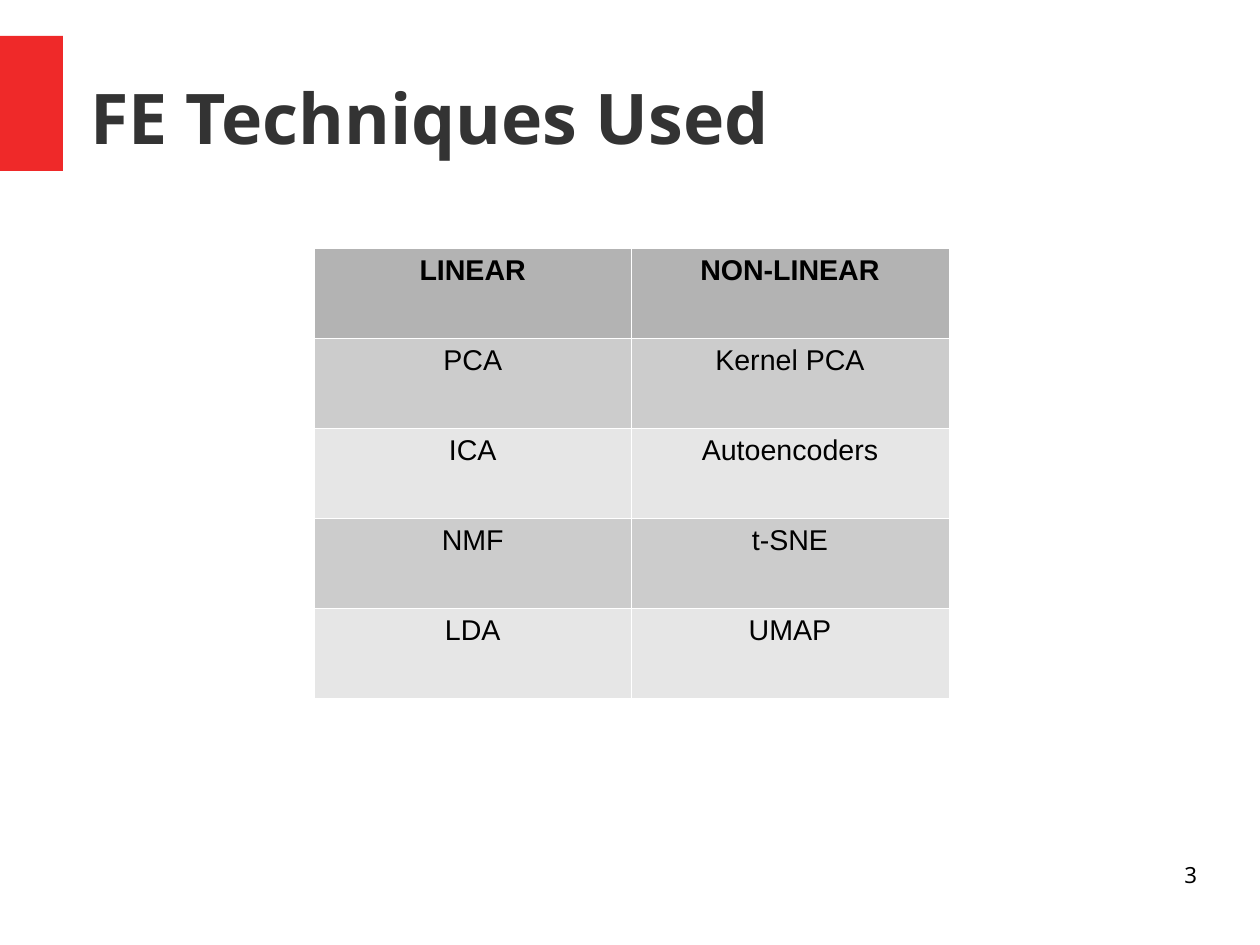
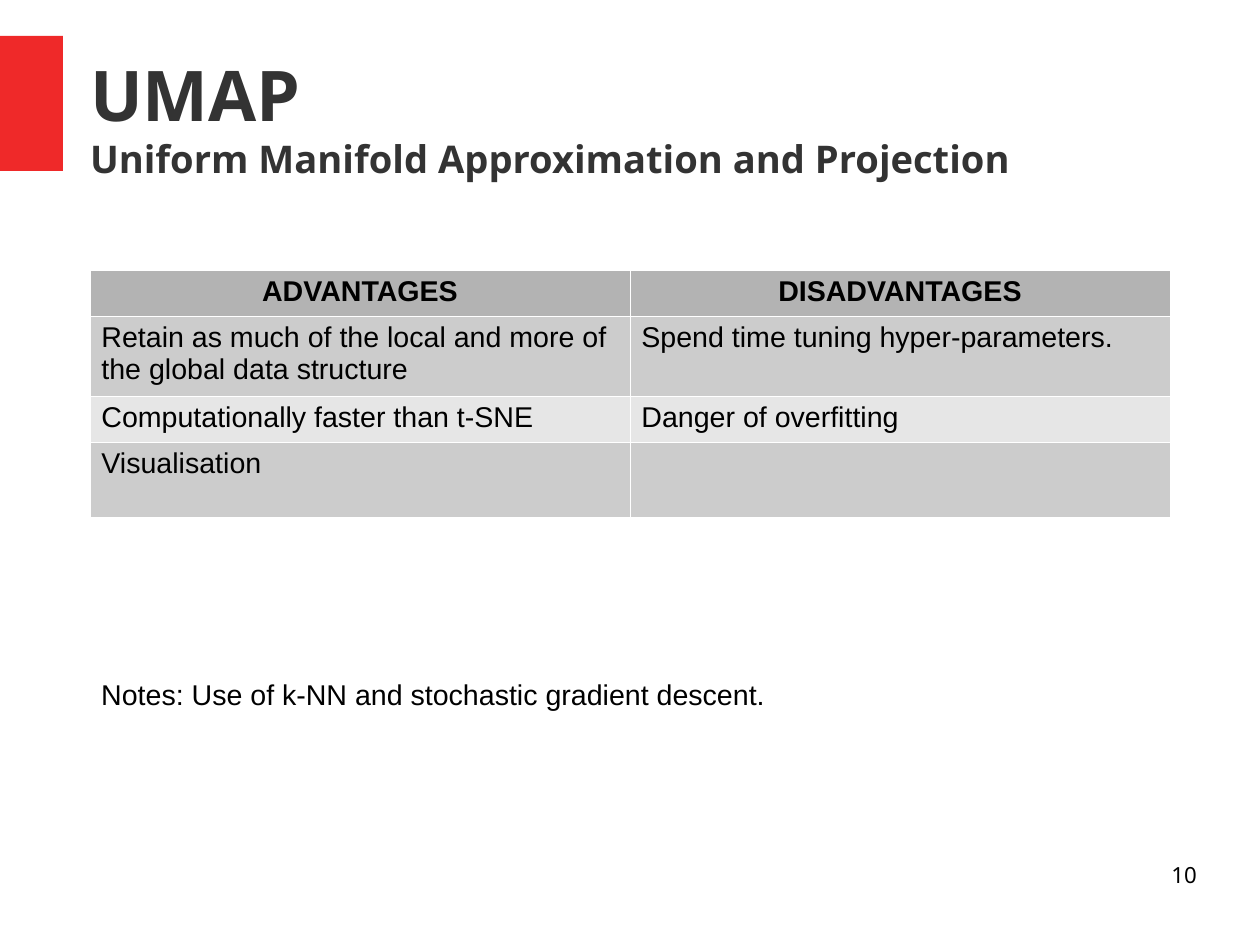
from dataclasses import dataclass

from lxml.etree import SubElement
from pptx import Presentation
from pptx.dml.color import RGBColor
from pptx.enum.shapes import MSO_SHAPE
from pptx.enum.text import MSO_ANCHOR, MSO_AUTO_SIZE, PP_ALIGN
from pptx.oxml.ns import qn
from pptx.util import Cm, Pt


@dataclass(frozen=True)
class Theme:
    red: str = "EF2929"
    dark: str = "333333"
    black: str = "000000"
    rule: str = "FFFFFF"
    head: str = "B3B3B3"
    bands: tuple = ("CCCCCC", "E6E6E6")
    sans: str = "Noto Sans"
    body: str = "Arial"
    big: int = 44
    sub: int = 24
    text: int = 18
    small: int = 14
    hair: float = 0.06


theme = Theme()


def write(para, text, face, size, color, bold=False):
    run = para.add_run()
    run.text = text
    font = run.font
    font.name, font.size, font.bold = face, Pt(size), bold
    font.color.rgb = RGBColor.from_string(color)


def edge(cell):
    """Draw a hairline on all four sides of a table cell."""
    props = cell._tc.get_or_add_tcPr()
    for side in ("a:lnL", "a:lnR", "a:lnT", "a:lnB"):
        line = SubElement(props, qn(side), w=str(int(Pt(theme.hair))))
        fill = SubElement(line, qn("a:solidFill"))
        SubElement(fill, qn("a:srgbClr"), val=theme.rule)


# Each page: title lines, number, table place and rows, alignment, note
pages = [
    dict(
        title=["FE Techniques Used"], number="3",
        left=6.98, top=5.52, width=14.1, heights=[2] * 5, align=PP_ALIGN.CENTER,
        rows=[
            ("LINEAR", "NON-LINEAR"),
            ("PCA", "Kernel PCA"),
            ("ICA", "Autoencoders"),
            ("NMF", "t-SNE"),
            ("LDA", "UMAP"),
        ],
        note=None,
    ),
    dict(
        title=["UMAP", "Uniform Manifold Approximation and Projection"], number="10",
        left=2, top=6, width=24, heights=[1.02, 1.78, 1.02, 1.66], align=PP_ALIGN.LEFT,
        rows=[
            ("ADVANTAGES", "DISADVANTAGES"),
            ("Retain as much of the local and more of the global data structure",
             "Spend time tuning hyper-parameters."),
            ("Computationally faster than t-SNE", "Danger of overfitting"),
            ("Visualisation", None),
        ],
        note="Notes: Use of k-NN and stochastic gradient descent.",
    ),
]

deck = Presentation()
deck.slide_width, deck.slide_height = Cm(28), Cm(21)
layout = deck.slide_layouts.get_by_name("Title Only")

# The title's place and margins belong to the layout
holder = layout.placeholders[0]
holder.left, holder.top, holder.width, holder.height = Cm(2), Cm(0.84), Cm(24.6), Cm(3.5)
frame = holder.text_frame
frame.margin_left = frame.margin_top = frame.margin_right = frame.margin_bottom = 0
frame.vertical_anchor = MSO_ANCHOR.MIDDLE
frame.auto_size = MSO_AUTO_SIZE.NONE

for page in pages:
    slide = deck.slides.add_slide(layout)
    band = slide.shapes.add_shape(MSO_SHAPE.RECTANGLE, 0, Cm(0.8), Cm(1.4), Cm(3))
    band.shadow.inherit = False
    band.fill.solid()
    band.fill.fore_color.rgb = RGBColor.from_string(theme.red)
    band.line.fill.background()

    para = slide.shapes.title.text_frame.paragraphs[0]
    para.alignment = PP_ALIGN.LEFT
    for spot, (line, size) in enumerate(zip(page["title"], (theme.big, theme.sub))):
        if spot:
            para.add_line_break()
        write(para, line, theme.sans, size, theme.dark, bold=True)

    rows = page["rows"]
    table = slide.shapes.add_table(
        len(rows), 2, Cm(page["left"]), Cm(page["top"]),
        Cm(page["width"]), Cm(sum(page["heights"])),
    ).table
    table.horz_banding = False
    for index, (row, height) in enumerate(zip(rows, page["heights"])):
        table.rows[index].height = Cm(height)
        first = index == 0
        shade = theme.head if first else theme.bands[(index - 1) % 2]
        for col, text in enumerate(row):
            cell = table.cell(index, col)
            edge(cell)
            cell.fill.solid()
            cell.fill.fore_color.rgb = RGBColor.from_string(shade)
            if text:
                para = cell.text_frame.paragraphs[0]
                para.alignment = PP_ALIGN.CENTER if first else page["align"]
                write(para, text, theme.body, theme.text, theme.black, bold=first)

    if page["note"]:
        note = slide.shapes.add_textbox(Cm(2), Cm(14.92), Cm(25.8), Cm(1.68))
        note.text_frame.word_wrap = True
        write(note.text_frame.paragraphs[0], page["note"],
              theme.body, theme.text, theme.black)

    foot = slide.shapes.add_textbox(Cm(20.07), Cm(19.13), Cm(6.53), Cm(1.45))
    frame = foot.text_frame
    frame.word_wrap = True
    frame.margin_left = frame.margin_top = frame.margin_right = frame.margin_bottom = 0
    para = frame.paragraphs[0]
    para.alignment = PP_ALIGN.RIGHT
    write(para, page["number"], theme.sans, theme.small, theme.black)

deck.save("out.pptx")
